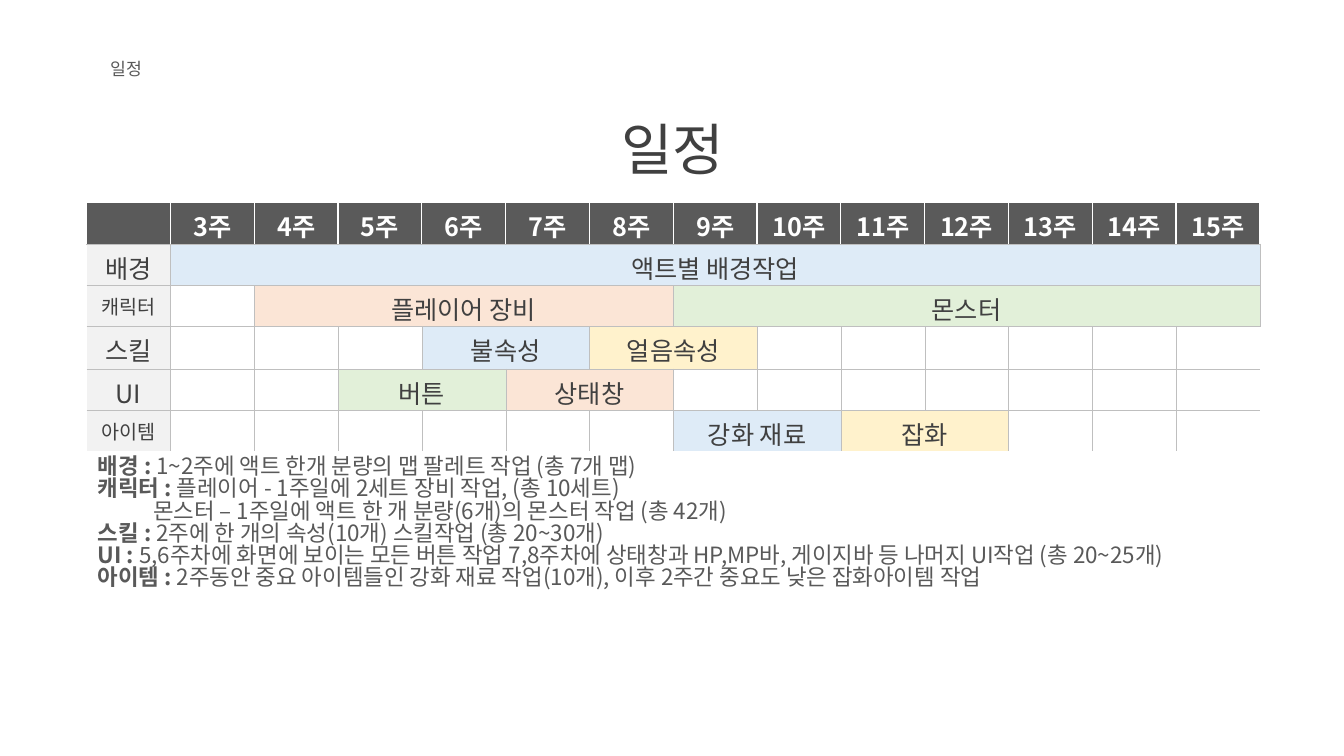
from lxml import etree
from pptx import Presentation
from pptx.dml.color import RGBColor
from pptx.enum.text import MSO_ANCHOR, PP_ALIGN
from pptx.oxml.ns import qn
from pptx.util import Inches, Pt

CENTER = PP_ALIGN.CENTER
LEFT = PP_ALIGN.LEFT
TOP = MSO_ANCHOR.TOP
FONT = "Noto Sans CJK KR"
LINE_SPACING = 0.83
DARK, GRAY, WHITE, GRID = "404040", "595959", "FFFFFF", "BFBFBF"
BLUE, ORANGE, GREEN, YELLOW = "DEEBF7", "FBE5D6", "E2F0D9", "FFF2CC"


def add_span(para, text, size, color, bold=False, align=LEFT):
    """Add one run and set the paragraph's alignment and line spacing."""
    para.alignment = align
    para.line_spacing = LINE_SPACING
    span = para.add_run()
    span.text = text
    span.font.size = Pt(size)
    span.font.bold = bold
    span.font.color.rgb = RGBColor.from_string(color)
    span.font.name = FONT
    etree.SubElement(span.font._element, qn("a:ea"), typeface=FONT)


def set_border(cell, side, color, width):
    """Draw one side of a cell; a color of None leaves it open."""
    line = etree.SubElement(cell._tc.get_or_add_tcPr(), qn(f"a:ln{side}"),
                            w=str(Pt(width)))
    if color is None:
        etree.SubElement(line, qn("a:noFill"))
    else:
        fill = etree.SubElement(line, qn("a:solidFill"))
        etree.SubElement(fill, qn("a:srgbClr"), val=color)


deck = Presentation()
deck.slide_width = Inches(13.33)
deck.slide_height = Inches(7.5)
page = deck.slides.add_slide(deck.slide_layouts[5])

# Title, section label and notes boxes
title = page.shapes.title
title.left, title.top = Inches(3.99), Inches(1.15)
title.width, title.height = Inches(5.36), Inches(0.8)
label = page.shapes.add_textbox(Inches(0.98), Inches(0.55), Inches(1.85), Inches(0.33))
details = page.shapes.add_textbox(Inches(0.85), Inches(4.47), Inches(11.79), Inches(2.55))
for box in (title, label, details):
    frame = box.text_frame
    frame.word_wrap = True
    frame.vertical_anchor = TOP
    frame.margin_left = frame.margin_right = Inches(0.12)
    frame.margin_top = frame.margin_bottom = Inches(0.06)
title.text_frame.margin_top = Inches(0.1)
title.text_frame.margin_bottom = Inches(0)

add_span(title.text_frame.paragraphs[0], "일정", 40, DARK, align=CENTER)
add_span(label.text_frame.paragraphs[0], "일정", 12.3, GRAY)

# Schedule: row name, name size, tasks as (first week, last week, name, color)
FIRST_WEEK, LAST_WEEK = 3, 15
schedule = [
    ("배경", 18, [(3, 15, "액트별 배경작업", BLUE)]),
    ("캐릭터", 14, [(4, 8, "플레이어 장비", ORANGE), (9, 15, "몬스터", GREEN)]),
    ("스킬", 18, [(6, 7, "불속성", BLUE), (8, 9, "얼음속성", YELLOW)]),
    ("UI", 18, [(5, 6, "버튼", GREEN), (7, 8, "상태창", ORANGE)]),
    ("아이템", 14, [(9, 10, "강화 재료", BLUE), (11, 12, "잡화", YELLOW)]),
]
row_heights = [0.41, 0.41, 0.41, 0.42, 0.41, 0.41]
row_count = len(row_heights)
column_count = LAST_WEEK - FIRST_WEEK + 2
table = page.shapes.add_table(row_count, column_count, Inches(0.86), Inches(2.01),
                              Inches(11.64), Inches(sum(row_heights))).table
for column in table.columns:
    column.width = Inches(11.64 / column_count)
for row, height in zip(table.rows, row_heights):
    row.height = Inches(height)

for r in range(row_count):
    for c in range(column_count):
        cell = table.cell(r, c)
        cell.margin_top, cell.margin_bottom = Inches(0.1), Inches(0)
        if r == 0:
            for side in "LRT":
                set_border(cell, side, WHITE, 1)
            set_border(cell, "B", GRID, 0.25)
            background = "5A5A5A"
        else:
            open_sides = {"L": c == 0, "R": c == column_count - 1,
                          "T": False, "B": r == row_count - 1}
            for side, is_open in open_sides.items():
                set_border(cell, side, None if is_open else GRID, 0.25)
            background = "F2F2F2" if c == 0 else WHITE
        cell.fill.solid()
        cell.fill.fore_color.rgb = RGBColor.from_string(background)

for week in range(FIRST_WEEK, LAST_WEEK + 1):
    para = table.cell(0, week - FIRST_WEEK + 1).text_frame.paragraphs[0]
    add_span(para, f"{week}주", 18, WHITE, True, CENTER)

for r, (name, size, tasks) in enumerate(schedule, start=1):
    add_span(table.cell(r, 0).text_frame.paragraphs[0], name, size, DARK, align=CENTER)
    for start, end, task, color in tasks:
        cell = table.cell(r, start - FIRST_WEEK + 1)
        if end > start:
            cell.merge(table.cell(r, end - FIRST_WEEK + 1))
        cell.fill.solid()
        cell.fill.fore_color.rgb = RGBColor.from_string(color)
        add_span(cell.text_frame.paragraphs[0], task, 18, DARK, align=CENTER)

# Notes under the schedule: bold heading and text
notes = [
    ("배경 :", " 1~2주에 액트 한개 분량의 맵 팔레트 작업 (총 7개 맵)"),
    ("캐릭터 : ", "플레이어 - 1주일에 2세트 장비 작업, (총 10세트)"),
    ("", "몬스터 – 1주일에 액트 한 개 분량(6개)의 몬스터 작업 (총 42개)"),
    ("스킬 :", " 2주에 한 개의 속성(10개) 스킬작업 (총 20~30개)"),
    ("UI :", " 5,6주차에 화면에 보이는 모든 버튼 작업 7,8주차에 상태창과 HP,MP바, "
             "게이지바 등 나머지 UI작업 (총 20~25개)"),
    ("아이템 :", " 2주동안 중요 아이템들인 강화 재료 작업(10개), "
                "이후 2주간 중요도 낮은 잡화아이템 작업"),
]
frame = details.text_frame
for i, (heading, text) in enumerate(notes):
    para = frame.paragraphs[0] if i == 0 else frame.add_paragraph()
    if heading:
        add_span(para, heading, 16, GRAY, True)
    else:
        para._p.get_or_add_pPr().set("marL", str(Inches(0.55)))
    add_span(para, text, 16, GRAY)

deck.save("out.pptx")
